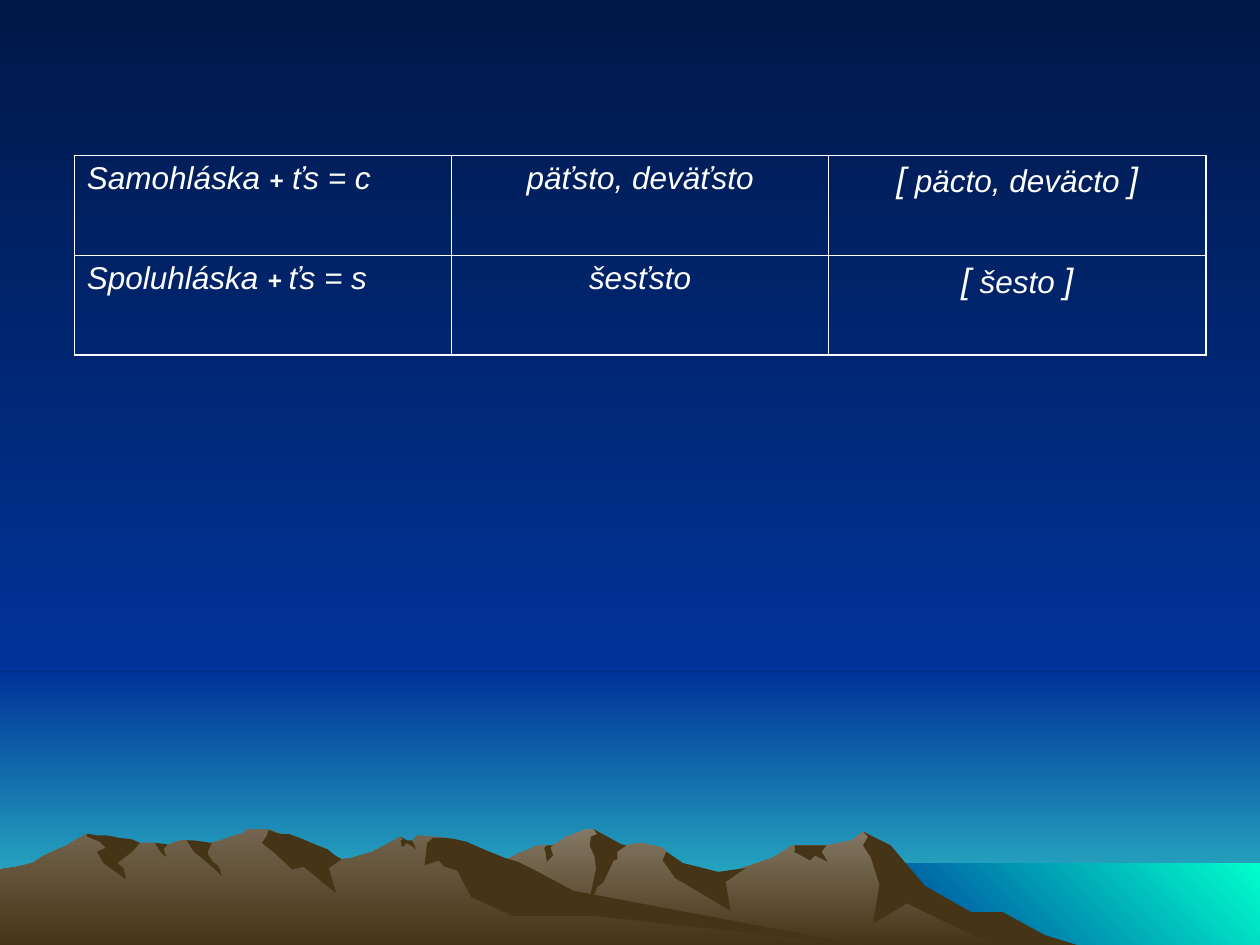
"""Build a slide with a pronunciation table above a mountain landscape."""
from lxml import etree
from pptx import Presentation
from pptx.dml.color import RGBColor
from pptx.enum.shapes import MSO_SHAPE
from pptx.enum.text import PP_ALIGN
from pptx.oxml.ns import qn
from pptx.util import Inches, Pt

RECTANGLE = MSO_SHAPE.RECTANGLE
LEFT, CENTER = PP_ALIGN.LEFT, PP_ALIGN.CENTER
NIGHT = RGBColor(0x00, 0x18, 0x47)
BLUE = RGBColor(0x00, 0x33, 0x99)
TEAL = RGBColor(0x33, 0xCC, 0xCC)
AQUA = RGBColor(0x00, 0xFF, 0xCC)
SAND = RGBColor(0x84, 0x78, 0x64)
STONE = RGBColor(0x73, 0x65, 0x4F)
BROWN = RGBColor(0x46, 0x34, 0x16)
WHITE = RGBColor(0xFF, 0xFF, 0xFF)
DOWN, UP_RIGHT = 270, 45
THIN, THICK = Pt(0.45), Pt(1.08)


def paint(fill, start, end, angle=DOWN):
    """Fill with a gradient between two colours."""
    fill.gradient()
    fill.gradient_angle = angle
    for stop, color in zip(fill.gradient_stops, (start, end)):
        stop.color.rgb = color


def add_border(cell, side, width):
    """Draw one white edge of a table cell."""
    line = etree.SubElement(cell._tc.get_or_add_tcPr(), qn(f"a:ln{side}"), w=str(width))
    solid = etree.SubElement(line, qn("a:solidFill"))
    etree.SubElement(solid, qn("a:srgbClr"), val=str(WHITE))


deck = Presentation()
deck.slide_width, deck.slide_height = Inches(10), Inches(7.5)
page = deck.slides.add_slide(deck.slide_layouts[6])
paint(page.background.fill, NIGHT, BLUE)

bands = [
    (0, 5.33, 10, 2.17, BLUE, TEAL, DOWN),
    (0, 0, 10, 5.33, NIGHT, BLUE, DOWN),
    (6.83, 6.85, 3.17, 0.65, BLUE, AQUA, UP_RIGHT),
]
for left, top, width, height, start, end, angle in bands:
    band = page.shapes.add_shape(
        RECTANGLE, Inches(left), Inches(top), Inches(width), Inches(height))
    band.shadow.inherit = False
    band.line.fill.background()
    paint(band.fill, start, end, angle)

# Outline points are in hundredths of an inch.
right_range = [
    (802, 740), (778, 727), (764, 723), (723, 698), (702, 671), (685, 660), (676, 667),
    (656, 671), (629, 671), (613, 681), (566, 697), (536, 690), (529, 676), (526, 673),
    (509, 669), (497, 671), (486, 673), (474, 661), (471, 658), (465, 658), (450, 664),
    (448, 665), (444, 668), (438, 671), (430, 671), (424, 672), (418, 675), (412, 677),
    (405, 681), (399, 683), (394, 685), (355, 698), (327, 709), (277, 739), (258, 751),
    (821, 751)]
right_slope = [
    (796, 724), (771, 724), (734, 703), (707, 671), (685, 660), (689, 664), (685, 671),
    (691, 680), (698, 702), (693, 733), (720, 717), (792, 752), (858, 751), (829, 742)]
middle_peak = [
    (471, 658), (474, 662), (469, 664), (468, 671), (472, 680), (473, 690), (465, 727),
    (474, 704), (479, 700), (487, 683), (490, 682), (490, 676), (497, 671), (493, 670)]
middle_slope = [
    (529, 676), (528, 678), (526, 683), (536, 697), (580, 723), (576, 700), (592, 689),
    (570, 692), (542, 685)]
right_notch = [
    (650, 671), (630, 671), (631, 672), (631, 675), (630, 676), (643, 683), (647, 679),
    (657, 684), (652, 676), (656, 671)]
middle_notch = [
    (433, 677), (432, 673), (434, 671), (438, 671), (439, 670), (437, 673), (439, 679),
    (434, 684)]
left_range = [
    (690, 751), (667, 748), (432, 712), (354, 665), (331, 663), (327, 668), (323, 668),
    (318, 664), (296, 676), (279, 681), (271, 682), (260, 676), (236, 681), (223, 663),
    (219, 660), (215, 659), (212, 658), (196, 658), (194, 660), (191, 662), (186, 663),
    (178, 666), (168, 669), (160, 671), (148, 667), (143, 667), (132, 671), (128, 671),
    (123, 669), (111, 669), (94, 671), (68, 662), (56, 669), (53, 671), (46, 674),
    (35, 679), (26, 685), (14, 688), (0, 690), (0, 751)]
left_slope = [
    (212, 663), (208, 669), (219, 678), (232, 690), (241, 688), (267, 709), (261, 689),
    (271, 682), (266, 679), (260, 674), (252, 671), (245, 668), (238, 665), (232, 663),
    (230, 662), (224, 662), (219, 661), (215, 659), (213, 659)]
long_slope = [
    (370, 668), (361, 666), (354, 665), (344, 665), (339, 669), (337, 687), (348, 683),
    (353, 688), (363, 691), (374, 712), (407, 727), (472, 727), (690, 751), (683, 750),
    (455, 707), (427, 692), (411, 684), (401, 681), (386, 675)]
small_notch = [
    (318, 667), (320, 666), (318, 664), (323, 667), (327, 667), (329, 671), (330, 674),
    (326, 671), (322, 669), (322, 670), (320, 672), (319, 672)]
left_gully = [
    (154, 667), (161, 668), (168, 669), (165, 676), (165, 678), (169, 684), (173, 687),
    (175, 691), (176, 695), (165, 685), (154, 676), (148, 667)]
left_notch = [
    (133, 670), (130, 674), (132, 680), (129, 678), (126, 674), (123, 669)]
first_slope = [
    (109, 668), (111, 669), (105, 676), (93, 685), (98, 689), (100, 698), (82, 685),
    (77, 676), (84, 673), (79, 668), (69, 664), (69, 662), (71, 662), (77, 663),
    (84, 663), (90, 664), (94, 665), (104, 666)]
landscape = [
    (right_range, SAND), (right_slope, BROWN), (middle_peak, BROWN),
    (middle_slope, BROWN), (right_notch, BROWN), (middle_notch, BROWN),
    (left_range, STONE), (left_slope, BROWN), (long_slope, BROWN),
    (small_notch, BROWN), (left_gully, BROWN), (left_notch, BROWN), (first_slope, BROWN),
]
for outline, color in landscape:
    builder = page.shapes.build_freeform(*outline[0], scale=Inches(0.01))
    builder.add_line_segments(outline[1:], close=True)
    mountain = builder.convert_to_shape()
    mountain.shadow.inherit = False
    mountain.line.fill.background()
    if color == BROWN:
        mountain.fill.solid()
        mountain.fill.fore_color.rgb = BROWN
    else:
        paint(mountain.fill, color, BROWN)

rows = [
    [[("Samohláska ", 18), ("+", 14), (" ťs = c", 18)],
     [("päťsto, deväťsto", 18)],
     [("[", 20), (" päcto, deväcto ", 18), ("]", 20)]],
    [[("Spoluhláska ", 18), ("+ ", 14), ("ťs = s", 18)],
     [("šesťsto", 18)],
     [("[", 20), (" šesto ", 18), ("]", 20)]],
]
table = page.shapes.add_table(
    2, 3, Inches(0.59), Inches(1.23), Inches(8.98), Inches(1.59)).table
table.first_row = table.horz_banding = False
for row_index, row in enumerate(rows):
    for column_index, spans in enumerate(row):
        cell = table.cell(row_index, column_index)
        add_border(cell, "L", THICK if column_index == 0 else THIN)
        add_border(cell, "R", THICK if column_index == 2 else THIN)
        add_border(cell, "T", THIN)
        add_border(cell, "B", THICK if row_index == 1 else THIN)
        cell.fill.background()
        para = cell.text_frame.paragraphs[0]
        para.alignment = CENTER if column_index else LEFT
        para.font.name = "Arial"
        para.font.italic = True
        para.font.color.rgb = WHITE
        for text, size in spans:
            span = para.add_run()
            span.text = text
            span.font.size = Pt(size)
            if size == 14:
                span.font.bold = True

deck.save("out.pptx")
